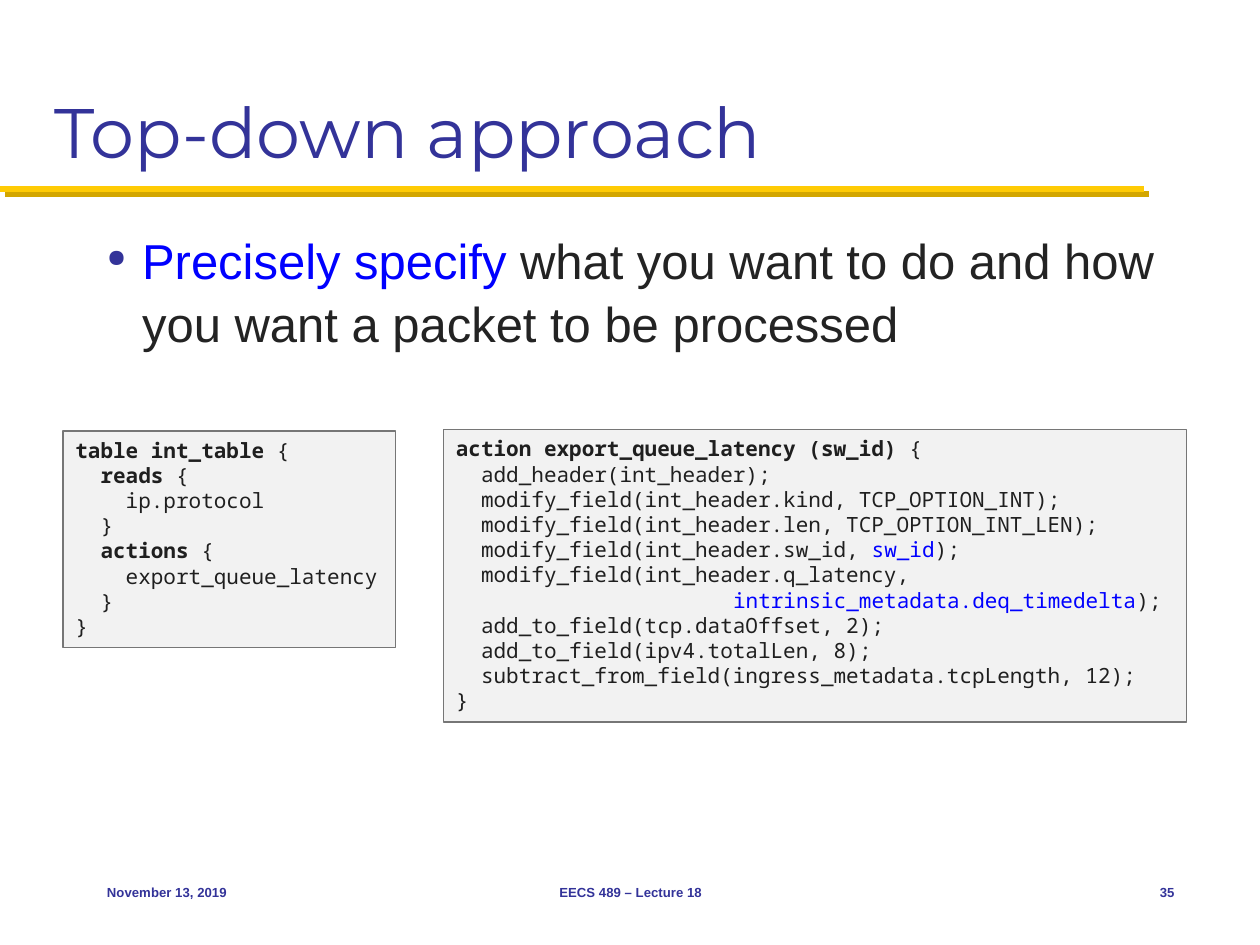
from dataclasses import dataclass

from lxml.etree import SubElement
from pptx import Presentation
from pptx.dml.color import RGBColor as RGB
from pptx.enum.shapes import MSO_CONNECTOR as CONN, MSO_SHAPE as SHAPE
from pptx.enum.text import MSO_ANCHOR as ANCHOR, MSO_AUTO_SIZE as FIT, PP_ALIGN as ALIGN
from pptx.oxml.ns import qn
from pptx.util import Inches, Pt

COLORS = {
    "navy": "333399",
    "gold": "FFCB05",
    "dark_gold": "D3A600",
    "blue": "0000FF",
    "body": "232323",
    "code": "1F1F1F",
    "panel": "F2F2F2",
    "border": "767676",
}
TITLE = {"name": "Montserrat", "size": Pt(40)}
BODY = {"name": "Arial", "size": Pt(28)}
FOOTER = {"name": "Arial", "size": Pt(7.5), "bold": True}
CODE = {"name": "Noto Sans Mono", "size": Pt(12)}
KEYWORD = CODE | {"bold": True}


@dataclass
class Run:
    text: str
    style: dict
    color: str


@dataclass
class Footer:
    text: str
    left: float
    width: float
    align: ALIGN


@dataclass
class CodePanel:
    left: float
    top: float
    width: float
    height: float
    lines: list[list[Run]]


def plain(text: str) -> Run:
    return Run(text, CODE, "code")


def keyword(text: str) -> Run:
    return Run(text, KEYWORD, "code")


def value(text: str) -> Run:
    return Run(text, CODE, "blue")


FOOTERS = [
    Footer("November 13, 2019", 0.75, 2.08, ALIGN.LEFT),
    Footer("EECS 489 – Lecture 18", 3.42, 3.17, ALIGN.CENTER),
    Footer("35", 8.75, 0.67, ALIGN.RIGHT),
]
PANELS = [
    CodePanel(0.5, 3.42, 2.64, 1.72, [
        [keyword("table int_table "), plain("{")],
        [keyword("  reads"), plain(" {")],
        [plain("    ip.protocol")],
        [plain("  }")],
        [keyword("  actions"), plain(" {")],
        [plain("    export_queue_latency")],
        [plain("  }")],
        [plain("}")],
    ]),
    CodePanel(3.52, 3.41, 5.9, 2.32, [
        [keyword("action export_queue_latency (sw_id) "), plain("{")],
        [plain("  add_header(int_header);")],
        [plain("  modify_field(int_header.kind, TCP_OPTION_INT);")],
        [plain("  modify_field(int_header.len, TCP_OPTION_INT_LEN);")],
        [plain("  modify_field(int_header.sw_id, "), value("sw_id"), plain(");")],
        [plain("  modify_field(int_header.q_latency,")],
        [plain("                      "), value("intrinsic_metadata.deq_timedelta"), plain(");")],
        [plain("  add_to_field(tcp.dataOffset, 2);")],
        [plain("  add_to_field(ipv4.totalLen, 8);")],
        [plain("  subtract_from_field(ingress_metadata.tcpLength, 12);")],
        [plain("}")],
    ]),
]


def rgb(name: str) -> RGB:
    return RGB.from_string(COLORS[name])


def add_runs(p, runs: list[Run]) -> None:
    for run in runs:
        r = p.add_run()
        r.text = run.text
        for key, val in run.style.items():
            setattr(r.font, key, val)
        r.font.color.rgb = rgb(run.color)


def add_rule(s) -> None:
    line = s.shapes.add_connector(CONN.STRAIGHT, 0, Inches(1.5), Inches(9.08), Inches(1.5))
    line.line.color.rgb = rgb("gold")
    line.line.width = Pt(3.5)
    effects = SubElement(line._element.spPr, qn("a:effectLst"))
    shadow = SubElement(effects, qn("a:outerShdw"), dist=str(Pt(4.2)), dir="2700000", algn="ctr", rotWithShape="0")
    SubElement(shadow, qn("a:srgbClr"), val=COLORS["dark_gold"])


def add_title(s, text: str) -> None:
    sp = s.shapes.title
    sp.left, sp.top, sp.width, sp.height = (Inches(v) for v in (0.33, 0.17, 9.33, 1.25))
    tf = sp.text_frame
    tf.vertical_anchor = ANCHOR.BOTTOM
    p = tf.paragraphs[0]
    p.alignment = ALIGN.LEFT
    add_runs(p, [Run(text, TITLE, "navy")])


def add_bullet(s, runs: list[Run]) -> None:
    sp = s.shapes.add_textbox(Inches(0.75), Inches(1.75), Inches(8.67), Inches(4.83))
    tf = sp.text_frame
    tf.word_wrap = True
    p = tf.paragraphs[0]
    p.line_spacing = 1.07
    pPr = p._p.get_or_add_pPr()
    pPr.set("marL", str(Inches(0.28)))
    pPr.set("indent", str(-Inches(0.28)))
    color = SubElement(pPr, qn("a:buClr"))
    SubElement(color, qn("a:srgbClr"), val=COLORS["navy"])
    SubElement(pPr, qn("a:buSzPct"), val="50000")
    SubElement(pPr, qn("a:buChar"), char="●")
    add_runs(p, runs)


def add_footer(s, footer: Footer) -> None:
    sp = s.shapes.add_textbox(Inches(footer.left), Inches(6.83), Inches(footer.width), Inches(0.5))
    tf = sp.text_frame
    tf.word_wrap = True
    tf.vertical_anchor = ANCHOR.MIDDLE
    p = tf.paragraphs[0]
    p.alignment = footer.align
    p.space_after = Pt(6)
    add_runs(p, [Run(footer.text, FOOTER, "navy")])


def add_panel(s, panel: CodePanel) -> None:
    box = (Inches(v) for v in (panel.left, panel.top, panel.width, panel.height))
    sp = s.shapes.add_shape(SHAPE.RECTANGLE, *box)
    sp.shadow.inherit = False
    sp.fill.solid()
    sp.fill.fore_color.rgb = rgb("panel")
    sp.line.color.rgb = rgb("border")
    sp.line.width = Pt(0.75)
    tf = sp.text_frame
    tf.word_wrap = False
    tf.auto_size = FIT.SHAPE_TO_FIT_TEXT
    tf.vertical_anchor = ANCHOR.TOP
    for i, runs in enumerate(panel.lines):
        p = tf.add_paragraph() if i else tf.paragraphs[0]
        p.alignment = ALIGN.LEFT
        add_runs(p, runs)


def main() -> None:
    prs = Presentation()
    prs.slide_width, prs.slide_height = Inches(10), Inches(7.5)
    s = prs.slides.add_slide(prs.slide_layouts[5])
    add_rule(s)
    add_title(s, "Top-down approach")
    add_bullet(s, [
        Run("Precisely specify", BODY, "blue"),
        Run(" what you want to do and how you want a packet to be processed", BODY, "body"),
    ])
    for footer in FOOTERS:
        add_footer(s, footer)
    for panel in PANELS:
        add_panel(s, panel)
    prs.save("out.pptx")


if __name__ == "__main__":
    main()
